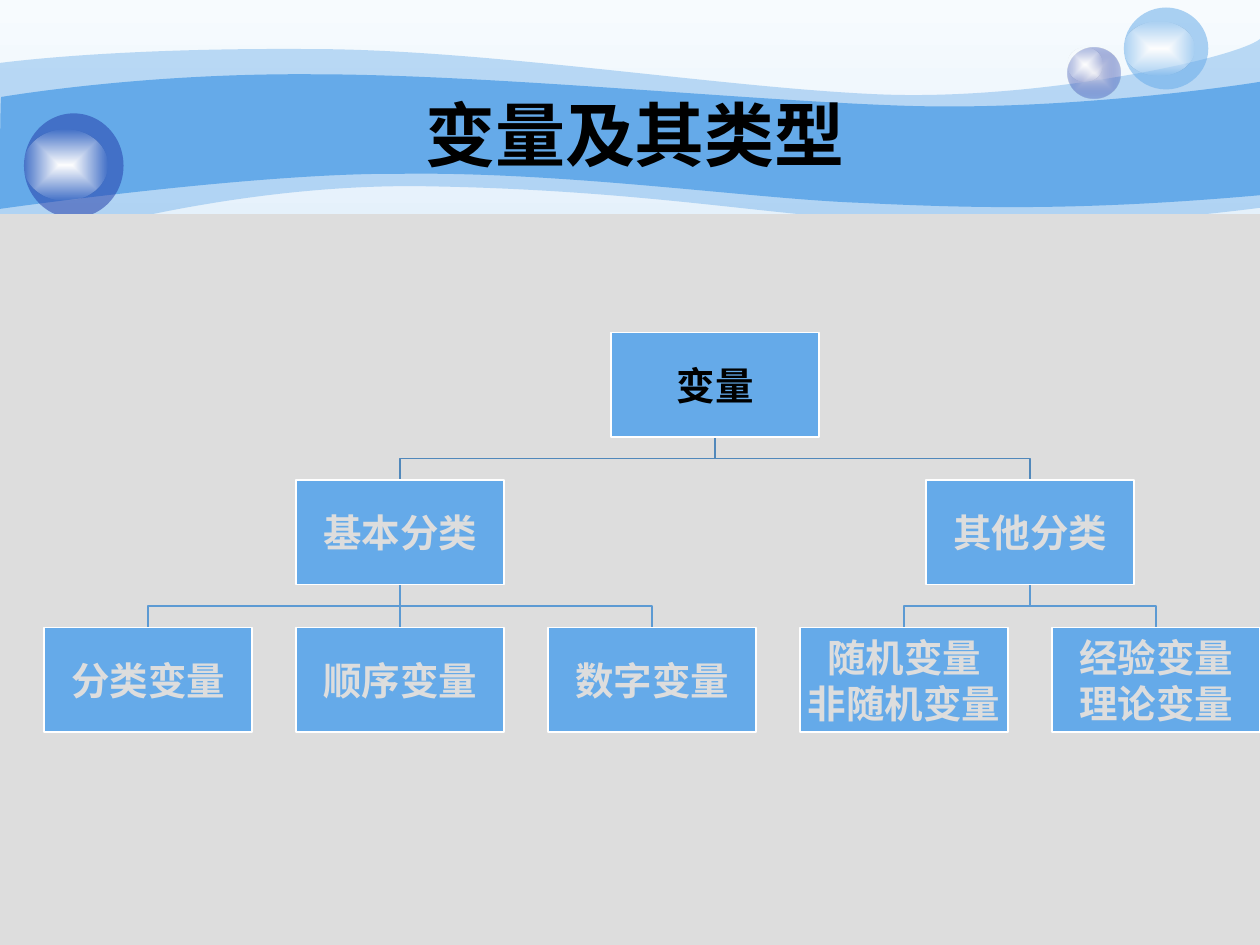
from dataclasses import dataclass

from lxml import etree
from pptx import Presentation
from pptx.dml.color import RGBColor
from pptx.enum import shapes, text
from pptx.oxml import ns
from pptx.util import Inches, Pt


@dataclass(frozen=True)
class Theme:
    blue: str = "65AAE9"
    navy: str = "233DA9"
    gray: str = "DDDDDD"
    black: str = "000000"
    white: str = "FFFFFF"
    top_line: str = "5188BB"
    low_line: str = "5C9AD3"
    font: str = "Arial"
    title_size: int = 40
    box_size: int = 22
    line: int = 1


THEME = Theme()
BACKGROUND = [(0, "F7FBFE", 100), (74, "BAD9F5", 100),
              (83, "BAD9F5", 100), (100, "D1E5F8", 100)]
GLOW = [(0, THEME.white, 100), (100, THEME.white, 0)]
PEARL = [(0, "E1E2ED", 100), (100, THEME.navy, 31)]

# Each wave: start point, then cubic curves (three points) or lines (one point)
PALE_WAVE = [[(0, 0.5)],
             [(0.24, 0.47), (1.07, 0.38), (2.47, 0.39)],
             [(3.86, 0.39), (5.75, 0.7), (6.99, 0.75)],
             [(8.22, 0.8), (9.8, 0.47), (10, 0.31)],
             [(10, 1.65)],
             [(8.58, 1.83), (7.87, 1.77), (7.05, 1.75)],
             [(6.22, 1.73), (5.15, 1.51), (3.43, 1.48)],
             [(1.72, 1.44), (0.04, 1.99), (0.01, 2.03)],
             [(-0.01, 2.08), (0, 0.75), (0, 0.5)]]
DEEP_WAVE = [[(0.01, 0.77)],
             [(0.02, 0.77), (1.1, 0.58), (2.48, 0.59)],
             [(3.86, 0.59), (5.95, 0.8), (7.18, 0.84)],
             [(8.41, 0.88), (9.76, 0.69), (10, 0.65)],
             [(10, 1.55)],
             [(8.53, 1.68), (7.65, 1.65), (6.82, 1.61)],
             [(5.99, 1.58), (4.47, 1.36), (3.17, 1.38)],
             [(2.03, 1.37), (-0.02, 1.66), (-0.01, 1.66)],
             [(0, 1.66), (0, 0.77), (0.01, 0.77)]]

# Tree: label, left edge, children
TREE = ("变量", 4.85, [
    ("基本分类", 2.35, [("分类变量", 0.35, []), ("顺序变量", 2.35, []),
                    ("数字变量", 4.35, [])]),
    ("其他分类", 7.35, [("随机变量\n非随机变量", 6.35, []),
                    ("经验变量\n理论变量", 8.35, [])])])
BOX_WIDTH, BOX_HEIGHT = 1.65, 0.83
TREE_TOP, LEVEL_STEP = 2.64, 1.17


def rgb(color):
    return RGBColor.from_string(color)


def gradient(stops, angle=None):
    """Make a linear gradient, or one from the centre when no angle is given."""
    fill = etree.Element(ns.qn("a:gradFill"), rotWithShape="1")
    stop_list = etree.SubElement(fill, ns.qn("a:gsLst"))
    for place, color, alpha in stops:
        stop = etree.SubElement(stop_list, ns.qn("a:gs"), pos=str(place * 1000))
        tint = etree.SubElement(stop, ns.qn("a:srgbClr"), val=color)
        etree.SubElement(tint, ns.qn("a:alpha"), val=str(alpha * 1000))
    if angle is None:
        way = etree.SubElement(fill, ns.qn("a:path"), path="shape")
        sides = dict.fromkeys("ltrb", "50000")
        etree.SubElement(way, ns.qn("a:fillToRect"), **sides)
    else:
        etree.SubElement(fill, ns.qn("a:lin"), ang=str(angle * 60000), scaled="0")
    return fill


def paint(shape, color=None, alpha=100, stops=None, line=None):
    """Set fill and outline, and drop the shadow."""
    shape.shadow.inherit = False
    if color or stops:
        shape.fill.solid()
        shape.fill.fore_color.rgb = rgb(color or THEME.white)
        solid = shape.element.spPr.find(ns.qn("a:solidFill"))
        if stops:
            solid.getparent().replace(solid, gradient(stops))
        elif alpha < 100:
            etree.SubElement(solid[0], ns.qn("a:alpha"), val=str(alpha * 1000))
    else:
        shape.fill.background()
    if line:
        shape.line.color.rgb = rgb(line)
        shape.line.width = Pt(THEME.line)
    else:
        shape.line.fill.background()


def add_preset(page, kind, place, **look):
    shape = page.shapes.add_shape(kind, *map(Inches, place))
    paint(shape, **look)
    return shape


def add_outline(page, points, close, **look):
    points = [tuple(map(Inches, point)) for point in points]
    builder = page.shapes.build_freeform(*points[0])
    builder.add_line_segments(points[1:], close=close)
    shape = builder.convert_to_shape()
    paint(shape, **look)
    return shape


def add_wave(page, wave, **look):
    """Draw through all points, then join each group of three into a curve."""
    points = [point for segment in wave for point in segment]
    shape = add_outline(page, points, True, **look)
    steps = iter(shape.element.findall(".//" + ns.qn("a:lnTo")))
    for segment in wave[1:]:
        group = [next(steps) for _ in segment]
        if len(group) == 3:
            curve = etree.Element(ns.qn("a:cubicBezTo"))
            group[0].addprevious(curve)
            for step in group:
                curve.append(step[0])
                step.getparent().remove(step)


def write(shape, words, size, color, margin):
    frame = shape.text_frame
    frame.text = words
    layout = {"word_wrap": True, "auto_size": text.MSO_AUTO_SIZE.NONE,
              "vertical_anchor": text.MSO_ANCHOR.MIDDLE}
    layout.update({f"margin_{side}": Inches(margin)
                   for side in ("left", "right", "top", "bottom")})
    for name, value in layout.items():
        setattr(frame, name, value)
    for para in frame.paragraphs:
        para.alignment = text.PP_ALIGN.CENTER
        for span in para.runs:
            style = {"name": THEME.font, "size": Pt(size), "bold": True}
            for name, value in style.items():
                setattr(span.font, name, value)
            span.font.color.rgb = rgb(color)


def add_link(page, start, end, color):
    """Join a parent's bottom to a child's top, bending halfway down."""
    (x1, y1), (x2, y2) = start, end
    if x1 != x2:
        middle = (y1 + y2) / 2
        add_outline(page, [start, (x1, middle), (x2, middle), end], False, line=color)
        return
    link = page.shapes.add_connector(shapes.MSO_CONNECTOR.STRAIGHT,
                                     *map(Inches, (x1, y1, x2, y2)))
    link.line.color.rgb = rgb(color)
    link.line.width = Pt(THEME.line)
    etree.SubElement(link.element.spPr, ns.qn("a:effectLst"))


def add_links(page, node, level=0):
    _, left, children = node
    top = TREE_TOP + level * LEVEL_STEP
    half = BOX_WIDTH / 2
    for child in reversed(children):
        add_links(page, child, level + 1)
        add_link(page, (left + half, top + BOX_HEIGHT),
                 (child[1] + half, top + LEVEL_STEP),
                 THEME.low_line if level else THEME.top_line)


def add_boxes(page, node, level=0):
    label, left, children = node
    place = (left, TREE_TOP + level * LEVEL_STEP, BOX_WIDTH, BOX_HEIGHT)
    box = add_preset(page, shapes.MSO_SHAPE.RECTANGLE, place,
                     color=THEME.blue, line=THEME.white)
    write(box, label, THEME.box_size, THEME.gray if level else THEME.black, 0.02)
    for child in children:
        add_boxes(page, child, level + 1)


def add_backdrop(page):
    page.background.fill.solid()
    properties = page.element.find(".//" + ns.qn("p:bgPr"))
    properties.replace(properties[0], gradient(BACKGROUND, 90))
    # Waves
    add_wave(page, PALE_WAVE, color=THEME.blue, alpha=41)
    add_wave(page, DEEP_WAVE, color=THEME.blue)
    # Bubbles, each with its glow
    bubbles = [((8.47, 0.38, 0.42, 0.4), {"stops": PEARL}, (8.47, 0.38, 0.28, 0.27)),
               ((8.92, 0.06, 0.67, 0.65), {"color": THEME.blue, "alpha": 53},
                (8.92, 0.17, 0.56, 0.43)),
               ((0.19, 0.9, 0.79, 0.83), {"color": THEME.navy, "alpha": 53},
                (0.19, 1.03, 0.66, 0.56))]
    for place, look, glow in bubbles:
        add_preset(page, shapes.MSO_SHAPE.OVAL, place, **look)
        add_preset(page, shapes.MSO_SHAPE.OVAL, glow, stops=GLOW)
    # Content panel
    add_preset(page, shapes.MSO_SHAPE.RECTANGLE, (0, 1.7, 10, 5.8), color=THEME.gray)


def add_title(page, words):
    title = page.shapes.title
    place = {"left": 1, "top": 0.75, "width": 8.08, "height": 0.62}
    for name, value in place.items():
        setattr(title, name, Inches(value))
    write(title, words, THEME.title_size, THEME.black, 0.05)
    title.element.getparent().append(title.element)


def main():
    deck = Presentation()
    deck.slide_width, deck.slide_height = Inches(10), Inches(7.5)
    page = deck.slides.add_slide(deck.slide_layouts[5])
    add_backdrop(page)
    add_title(page, "变量及其类型")
    add_links(page, TREE)
    add_boxes(page, TREE)
    deck.save("out.pptx")


main()
